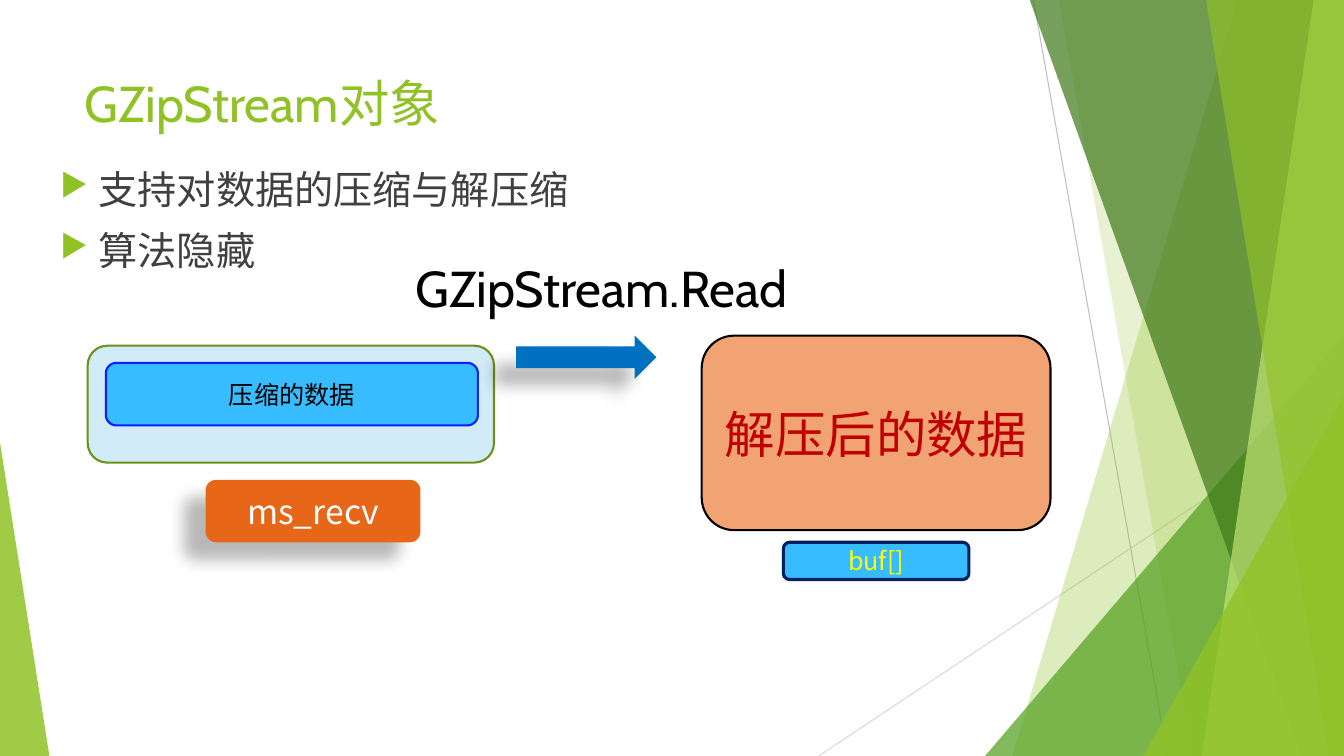
from lxml.etree import SubElement
from pptx import Presentation
from pptx.dml.color import RGBColor
from pptx.enum.shapes import MSO_CONNECTOR, MSO_SHAPE
from pptx.enum.text import MSO_ANCHOR, PP_ALIGN
from pptx.oxml import parse_xml
from pptx.oxml.ns import nsdecls, qn
from pptx.util import Inches, Pt

COLORS = {
    "lime": "90C226", "green": "54A021", "dark_green": "3F7819", "pale_lime": "C0E474",
    "olive": "6B901C", "gray": "BFBFBF", "light_gray": "D9D9D9", "text": "404040",
    "black": "000000", "white": "FFFFFF", "ice": "D1EBF7", "sky": "37BCFF",
    "blue": "0920FB", "arrow_blue": "0070C0", "navy": "002060", "peach": "F1A374",
    "orange": "E76618", "red": "C00000", "yellow": "FFFF00",
}
LATIN, CJK = "Cabin", "Noto Sans CJK SC"


def paint(shape, fill, line=None, width=0, opacity=100):
    shape.shadow.inherit = False
    shape.fill.solid()
    shape.fill.fore_color.rgb = RGBColor.from_string(COLORS[fill])
    if opacity < 100:
        color = shape.fill._xPr.find(qn("a:solidFill"))[0]
        SubElement(color, qn("a:alpha"), val=str(opacity * 1000))
    if line:
        shape.line.color.rgb = RGBColor.from_string(COLORS[line])
        shape.line.width = Pt(width)
    else:
        shape.line.fill.background()


def write(frame, lines, size, color, font=LATIN):
    frame.text = "\n".join(lines)
    for para in frame.paragraphs:
        for span in para.runs:
            span.font.size = Pt(size)
            span.font.name = font
            span.font.color.rgb = RGBColor.from_string(COLORS[color])
            SubElement(span.font._element, qn("a:ea"), typeface=CJK)


deck = Presentation()
deck.slide_width, deck.slide_height = Inches(13.33), Inches(7.5)
page = deck.slides.add_slide(deck.slide_layouts[6])
shapes = page.shapes

# Background facets
for start_x, start_y, end_x, color in [(10.25, 0, 11.58, "gray"), (13.33, 4.03, 8.12, "light_gray")]:
    ray = shapes.add_connector(MSO_CONNECTOR.STRAIGHT, Inches(start_x), Inches(start_y),
                               Inches(end_x), Inches(7.5))
    ray.line.color.rgb = RGBColor.from_string(COLORS[color])
    ray.line.width = Pt(0.75)
    SubElement(ray._element.spPr, qn("a:effectLst"))

# Bands run to the right edge: (top left x, bottom left x, colour, opacity).
# Triangles: (left, top, width, height, apex, colour, opacity).
facets = [
    (12.28, 10.04, "lime", 30),
    (10.5, 11.83, "lime", 20),
    (9.77, 3.33, 3.56, 4.17, 1, "green", 72),
    (10.21, 12.91, "dark_green", 70),
    (13.03, 11.92, "pale_lime", 70),
    (11.96, 13.18, "lime", 65),
    (11.34, 3.93, 1.99, 3.57, 1, "lime", 80),
    (0, 4.39, 0.49, 3.11, 0, "lime", 85),
]
for *geometry, color, opacity in facets:
    if len(geometry) == 2:
        top_x, bottom_x = geometry
        builder = shapes.build_freeform(Inches(top_x), Inches(-0.01))
        corners = [(13.33, -0.01), (13.33, 7.5), (bottom_x, 7.5)]
        builder.add_line_segments([(Inches(x), Inches(y)) for x, y in corners], close=True)
        facet = builder.convert_to_shape()
    else:
        *bounds, apex = geometry
        facet = shapes.add_shape(MSO_SHAPE.ISOSCELES_TRIANGLE, *map(Inches, bounds))
        facet.adjustments[0] = apex
    paint(facet, color, opacity=opacity)

# Title and bullets
title = shapes.add_textbox(Inches(0.74), Inches(0.67), Inches(9.4), Inches(1.44))
title.text_frame.word_wrap = True
write(title.text_frame, ["GZipStream对象"], 36, "lime")

body = shapes.add_textbox(Inches(0.5), Inches(1.59), Inches(6.44), Inches(1.2))
body.text_frame.word_wrap = True
write(body.text_frame, ["支持对数据的压缩与解压缩", "算法隐藏"], 28, "text")
for para in body.text_frame.paragraphs:
    para.space_before = Pt(10)
    properties = para._p.get_or_add_pPr()
    properties.set("marL", str(Inches(0.38)))
    properties.set("indent", str(Inches(-0.38)))
    bullet_color = SubElement(properties, qn("a:buClr"))
    SubElement(bullet_color, qn("a:srgbClr"), val=COLORS["lime"])
    SubElement(properties, qn("a:buSzPct"), val="80000")
    SubElement(properties, qn("a:buChar"), char="▶")

# Diagram: bounds, fill, line, line width, label, text size, text colour, shadow
boxes = [
    ((0.87, 3.43, 4.03, 1.16), "ice", "olive", 1.5, None, 0, None, False),
    ((6.96, 3.33, 3.46, 1.93), "peach", "black", 1.5, "解压后的数据", 36, "red", False),
    ((1.05, 3.6, 3.69, 0.62), "sky", "blue", 1.5, "压缩的数据", 18, "black", False),
    ((5.6, 2.85, 0.43, 1.39), "arrow_blue", None, 0, None, 0, None, True),
    ((7.77, 5.38, 1.84, 0.37), "sky", "navy", 2.25, "buf[]", 18, "yellow", False),
    ((2.04, 4.76, 2.13, 0.62), "orange", None, 0, "ms_recv", 24, "white", True),
]
for bounds, fill, line, width, label, size, color, shadowed in boxes:
    is_arrow = fill == "arrow_blue"
    preset = MSO_SHAPE.DOWN_ARROW if is_arrow else MSO_SHAPE.ROUNDED_RECTANGLE
    box = shapes.add_shape(preset, *map(Inches, bounds))
    box.rotation = 270 if is_arrow else 0
    paint(box, fill, line, width)
    if shadowed:
        box._element.spPr.find(qn("a:effectLst")).append(parse_xml(
            f'<a:outerShdw {nsdecls("a")} blurRad="{Pt(11.8)}" dist="{Pt(19.7)}" '
            f'dir="{141 * 60000}" rotWithShape="0"><a:srgbClr val="{COLORS["black"]}">'
            '<a:alpha val="28000"/></a:srgbClr></a:outerShdw>'))
    if label:
        box.text_frame.vertical_anchor = MSO_ANCHOR.MIDDLE
        write(box.text_frame, [label], size, color, CJK)
        box.text_frame.paragraphs[0].alignment = PP_ALIGN.CENTER

call = shapes.add_textbox(Inches(4.02), Inches(2.5), Inches(4.12), Inches(0.71))
call.text_frame.word_wrap = False
write(call.text_frame, ["GZipStream.Read"], 36, "black")

deck.save("out.pptx")
